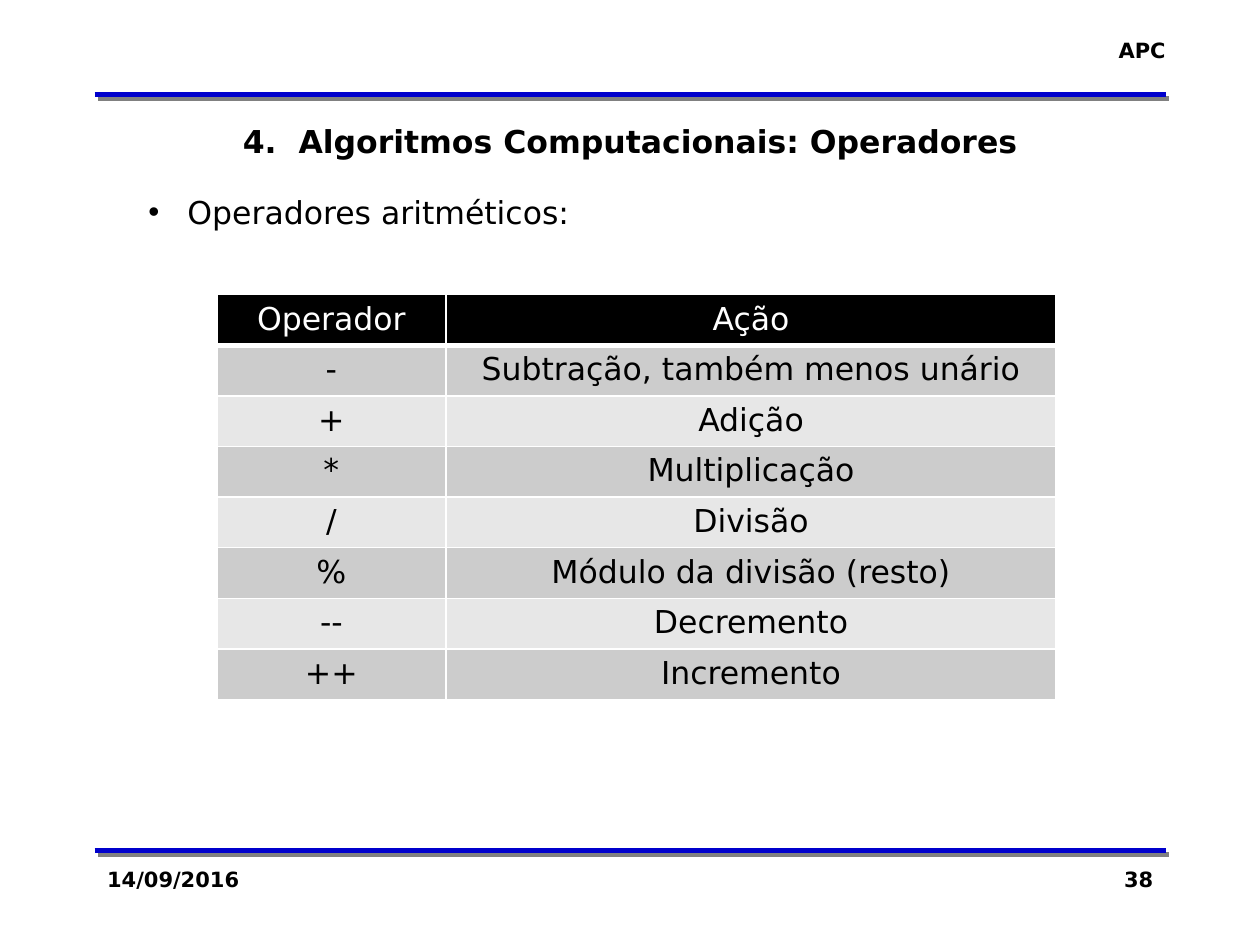
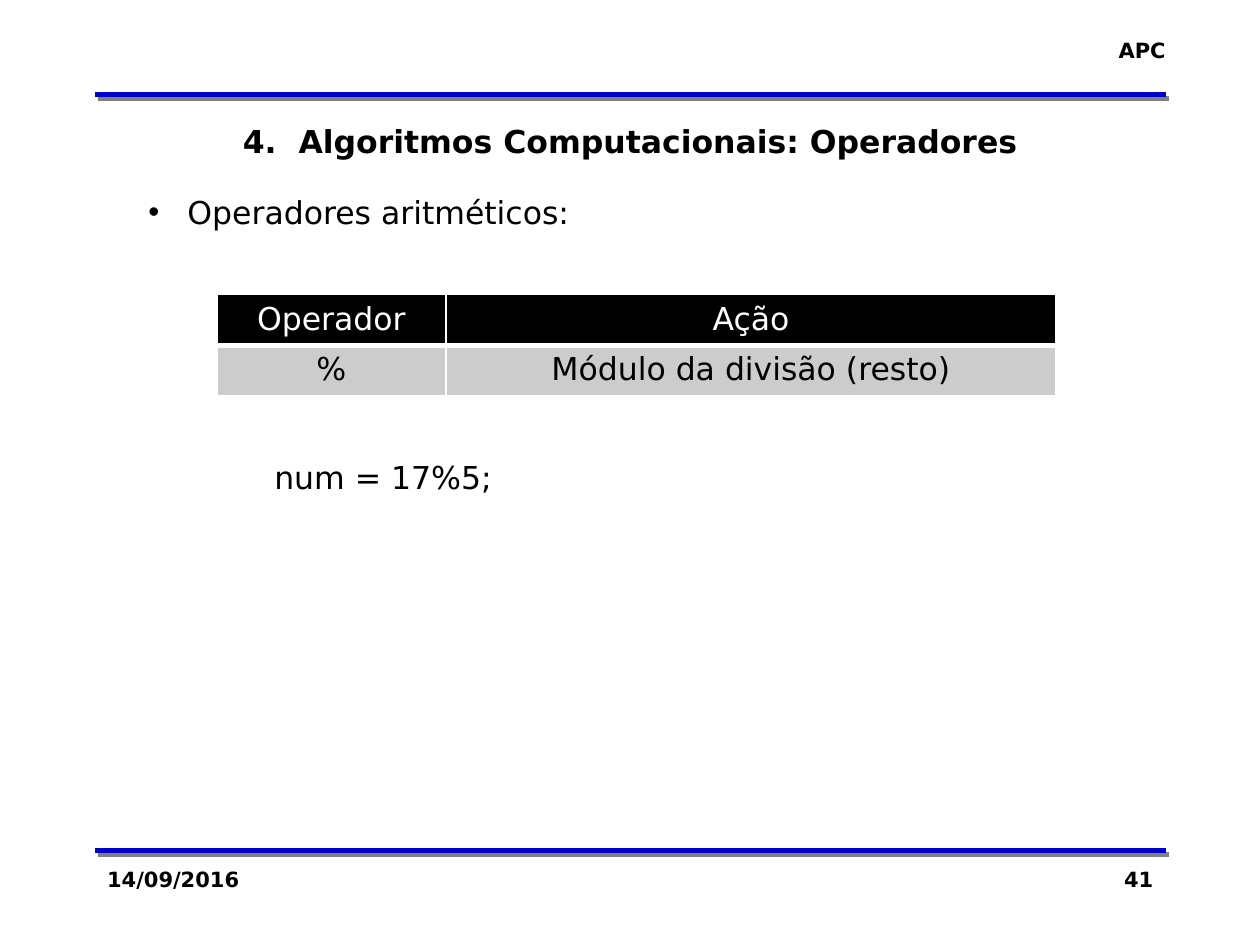
from lxml import etree
from pptx import Presentation
from pptx.dml.color import RGBColor
from pptx.enum.shapes import MSO_CONNECTOR
from pptx.enum.text import PP_ALIGN
from pptx.oxml.ns import qn
from pptx.util import Cm, Pt

LEFT, CENTER, RIGHT = PP_ALIGN.LEFT, PP_ALIGN.CENTER, PP_ALIGN.RIGHT
JUSTIFY = PP_ALIGN.JUSTIFY
STRAIGHT = MSO_CONNECTOR.STRAIGHT

COURSE = "APC"
DATE = "14/09/2016"
TITLE = "4.  Algoritmos Computacionais: Operadores"
TOPIC = "Operadores aritméticos:"
TABLE_HEADER = ("Operador", "Ação")
MODULO = ("%", "Módulo da divisão (resto)")

SLIDES = [
    {
        "number": "38",
        "operators": [
            ("-", "Subtração, também menos unário"),
            ("+", "Adição"),
            ("*", "Multiplicação"),
            ("/", "Divisão"),
            MODULO,
            ("--", "Decremento"),
            ("++", "Incremento"),
        ],
    },
    {"number": "41", "operators": [MODULO], "example": "num = 17%5;"},
]

FONT = "DejaVu Sans"
SMALL, NORMAL = 12, 18
COLORS = {
    "text": "000000",
    "rule": "0000CC",
    "rule shadow": "808080",
    "header": "000000",
    "header text": "FFFFFF",
    "border": "FFFFFF",
    "odd row": "CCCCCC",
    "even row": "E7E7E7",
}

MARGIN_LEFT, MARGIN_RIGHT = 1.91, 23.5
CONTENT_WIDTH = MARGIN_RIGHT - MARGIN_LEFT
RULE_TOPS = (1.91, 17.15)
FOOTER_TOP, FOOTER_WIDTH, FOOTER_HEIGHT = 17.35, 5.28, 1.27
TABLE_LEFT, TABLE_TOP = 4.37, 5.94
COLUMN_WIDTHS = (4.62, 12.3)
ROW_HEIGHT = 1.02


def color(name):
    return RGBColor.from_string(COLORS[name])


def style(paragraph, size, align, bold=False, color_name="text"):
    paragraph.alignment = align
    font = paragraph.font
    font.name, font.size, font.bold = FONT, Pt(size), bold
    font.color.rgb = color(color_name)


def add_text(slide, text, box, size, align, bold=False):
    shape = slide.shapes.add_textbox(*(Cm(length) for length in box))
    frame = shape.text_frame
    frame.word_wrap = True
    frame.text = text
    style(frame.paragraphs[0], size, align, bold)
    return frame


def set_indent(paragraph, left, first_line=0, bullet=None):
    properties = paragraph._p.get_or_add_pPr()
    properties.set("marL", str(Cm(left)))
    properties.set("indent", str(Cm(first_line)))
    if bullet:
        etree.SubElement(properties, qn("a:buFont"), typeface="Arial")
        etree.SubElement(properties, qn("a:buChar"), char=bullet)


def add_rule(slide, top):
    """Draw a full-width line with a hard shadow below and to the right."""
    rule = slide.shapes.add_connector(
        STRAIGHT, Cm(MARGIN_LEFT), Cm(top), Cm(MARGIN_RIGHT), Cm(top))
    rule.line.color.rgb = color("rule")
    rule.line.width = Pt(3)
    effects = etree.SubElement(rule._element.spPr, qn("a:effectLst"))
    shadow = etree.SubElement(effects, qn("a:outerShdw"), dist=str(Pt(2.8)),
                              dir="2700000", algn="ctr", rotWithShape="0")
    etree.SubElement(shadow, qn("a:srgbClr"), val=COLORS["rule shadow"])


def add_frame(slide, number):
    """Add the rules, course name, footer and title shared by all slides."""
    for top in RULE_TOPS:
        add_rule(slide, top)
    add_text(slide, COURSE, (21.5, 0.64, 2.25, 0.76), SMALL, RIGHT, True)
    for text, left, align in (
        (DATE, MARGIN_LEFT, LEFT),
        (number, MARGIN_RIGHT - FOOTER_WIDTH, RIGHT),
    ):
        box = (left, FOOTER_TOP, FOOTER_WIDTH, FOOTER_HEIGHT)
        add_text(slide, text, box, SMALL, align, True)
    add_text(slide, TITLE, (MARGIN_LEFT, 2.34, CONTENT_WIDTH, 1.02),
             NORMAL, CENTER, True)


def add_topic(slide, example):
    height = 6.4 if example else 1.02
    frame = add_text(slide, TOPIC, (2.74, 3.76, 20.07, height), NORMAL, JUSTIFY)
    set_indent(frame.paragraphs[0], 0.79, -0.79, "•")
    if example:
        paragraph = frame.add_paragraph()
        paragraph.text = example
        style(paragraph, NORMAL, JUSTIFY)
        paragraph.space_before = Pt(130)
        set_indent(paragraph, 2.54)


def set_borders(cell, bottom):
    properties = cell._tc.get_or_add_tcPr()
    for side, width in (("L", 1), ("R", 1), ("T", 1), ("B", bottom)):
        line = etree.SubElement(properties, qn(f"a:ln{side}"), w=str(Pt(width)))
        fill = etree.SubElement(line, qn("a:solidFill"))
        etree.SubElement(fill, qn("a:srgbClr"), val=COLORS["border"])


def add_operator_table(slide, operators):
    rows = [TABLE_HEADER, *operators]
    table = slide.shapes.add_table(
        len(rows), len(COLUMN_WIDTHS), Cm(TABLE_LEFT), Cm(TABLE_TOP),
        Cm(sum(COLUMN_WIDTHS)), Cm(ROW_HEIGHT * len(rows))).table
    for column, width in zip(table.columns, COLUMN_WIDTHS):
        column.width = Cm(width)
    for index, values in enumerate(rows):
        table.rows[index].height = Cm(ROW_HEIGHT)
        is_header = index == 0
        fill_name = "header" if is_header else "odd row" if index % 2 else "even row"
        for cell, value in zip(table.rows[index].cells, values):
            cell.text = value
            style(cell.text_frame.paragraphs[0], NORMAL, CENTER,
                  color_name="header text" if is_header else "text")
            set_borders(cell, bottom=3 if is_header else 1)
            cell.fill.solid()
            cell.fill.fore_color.rgb = color(fill_name)


def main():
    presentation = Presentation()
    presentation.slide_width, presentation.slide_height = Cm(25.4), Cm(19.05)
    blank = presentation.slide_layouts[6]
    for content in SLIDES:
        slide = presentation.slides.add_slide(blank)
        add_frame(slide, content["number"])
        add_topic(slide, content.get("example"))
        add_operator_table(slide, content["operators"])
    presentation.save("out.pptx")


if __name__ == "__main__":
    main()
